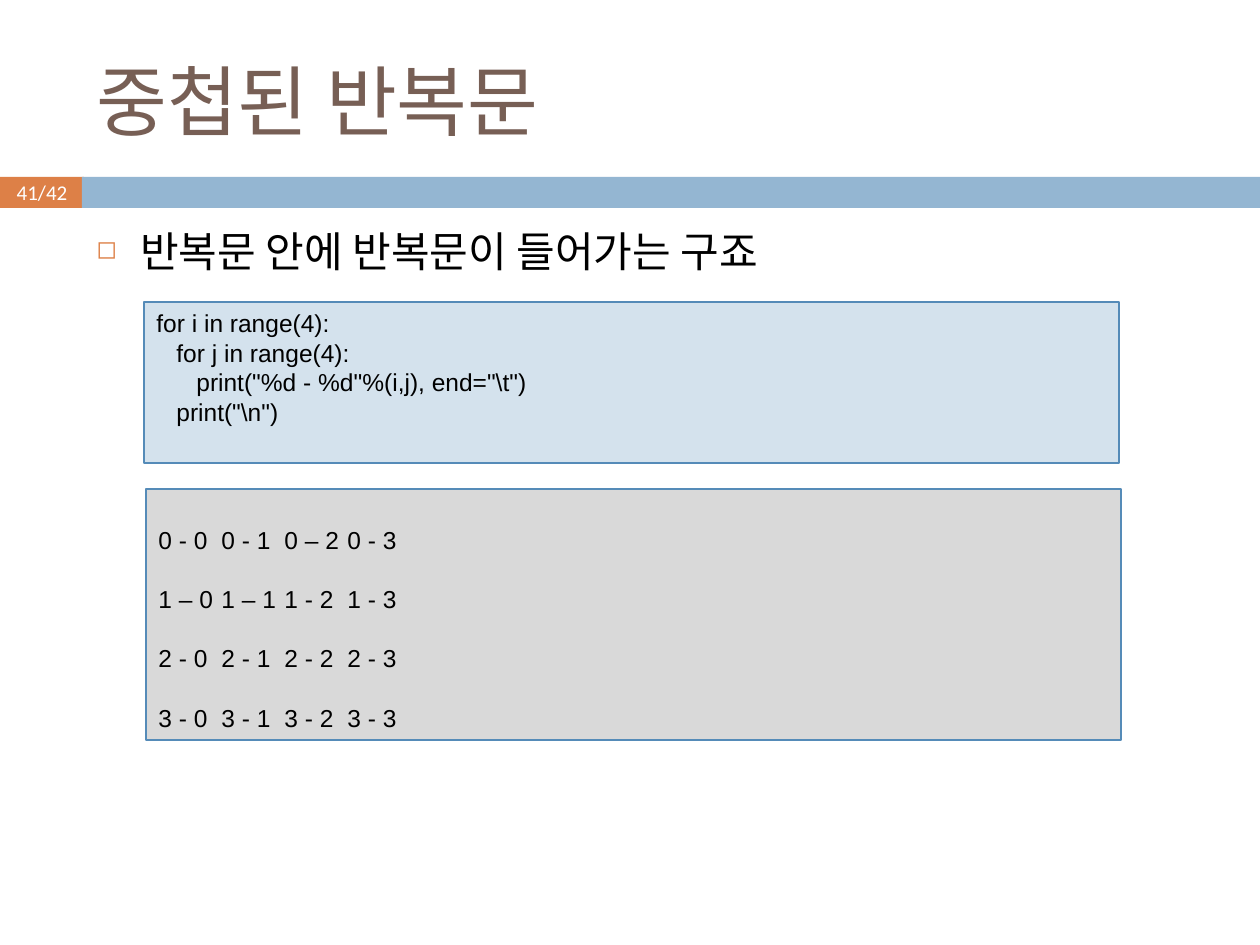
"""Build a slide on nested loops with a code box and its output."""
import pptx
import pptx.dml.color
import pptx.enum.shapes
import pptx.enum.text
import pptx.oxml.ns
import pptx.util
import lxml.etree

ALIGN = pptx.enum.text.PP_ALIGN
ANCHOR = pptx.enum.text.MSO_ANCHOR


def px(length):
    """Turn px into EMU at 126 px to the inch."""
    return pptx.util.Emu(round(length * 914400 / 126))


def color(code):
    """Turn a hex string into a colour."""
    return pptx.dml.color.RGBColor.from_string(code)


def add_xml(parent, tag, **attributes):
    """Append a drawing element and return it."""
    return lxml.etree.SubElement(parent, pptx.oxml.ns.qn(tag), attributes)


def write(paragraph, text, size=14, font="Arial", ink="000000", align=ALIGN.LEFT,
          leading=None, before=0, indent=0, hanging=0, bullet=None, tabs=()):
    """Write one formatted paragraph."""
    paragraph.alignment = align
    paragraph.space_before = pptx.util.Pt(before)
    if leading:
        paragraph.line_spacing = pptx.util.Pt(leading)
    properties = paragraph._p.get_or_add_pPr()
    properties.set("marL", str(px(indent)))
    properties.set("indent", str(-px(hanging)))
    if bullet:
        add_xml(add_xml(properties, "a:buClr"), "a:srgbClr", val="DD8047")
        add_xml(properties, "a:buSzPct", val="60000")
        add_xml(properties, "a:buChar", char=bullet)
    if tabs:
        stops = add_xml(properties, "a:tabLst")
        for stop in tabs:
            add_xml(stops, "a:tab", pos=str(px(stop)), algn="l")
    run = paragraph.add_run()
    run.text = text
    run.font.size = pptx.util.Pt(size)
    run.font.name = font
    run.font.color.rgb = color(ink)


class LessonSlide:
    """Hold the box style and the current slide."""

    outline = "558BB8"
    leading = 16.9

    def __init__(self, deck):
        """Add a blank slide to the deck."""
        self.slide = deck.slides.add_slide(deck.slide_layouts[6])

    def fill_frame(self, frame, lines, anchor, top_inset=6):
        """Put (text, format) lines into a text frame."""
        frame.word_wrap = True
        frame.vertical_anchor = anchor
        frame.margin_top = px(top_inset)
        for number, (text, style) in enumerate(lines):
            paragraph = frame.add_paragraph() if number else frame.paragraphs[0]
            write(paragraph, text, **style)

    def text(self, place, content, anchor=ANCHOR.TOP, **style):
        """Add a text box of one paragraph."""
        box = self.slide.shapes.add_textbox(*map(px, place))
        self.fill_frame(box.text_frame, [(content, style)], anchor)

    def panel(self, place, fill, lines=(), outline=None, anchor=ANCHOR.TOP, top_inset=6):
        """Add a filled rectangle with optional text and outline."""
        panel = self.slide.shapes.add_shape(
            pptx.enum.shapes.MSO_SHAPE.RECTANGLE, *map(px, place))
        panel.shadow.inherit = False
        panel.fill.solid()
        panel.fill.fore_color.rgb = color(fill)
        if outline:
            panel.line.color.rgb = color(outline)
            panel.line.width = pptx.util.Pt(0.75)
        else:
            panel.line.fill.background()
        self.fill_frame(panel.text_frame, lines, anchor, top_inset)

    def code(self, place, fill, lines):
        """Add a code panel from (depth, text) lines."""
        self.panel(place, fill, [(text, dict(leading=self.leading, indent=20 * depth))
                                 for depth, text in lines], self.outline)

    def output(self, place, fill, rows):
        """Add an output panel from (cells, tab stops) rows."""
        self.panel(place, fill, [
            ("\t".join(cells), dict(leading=self.leading, tabs=tabs,
                                    before=self.leading if number else 0))
            for number, (cells, tabs) in enumerate(rows)], self.outline, top_inset=36)


def main():
    """Build and save the deck."""
    deck = pptx.Presentation()
    deck.slide_width, deck.slide_height = px(1260), px(945)
    lesson = LessonSlide(deck)
    page_style = dict(size=12, font="Calibri", ink="FFFFFF", align=ALIGN.CENTER)
    lesson.panel((0, 177, 84, 31), "DD8047", [("41/42", page_style)], anchor=ANCHOR.MIDDLE)
    lesson.panel((82, 177, 1178, 31), "94B6D2")
    lesson.text((84, 32, 1124, 136), "중첩된 반복문", ANCHOR.MIDDLE,
                size=44, font="Calibri", ink="775F55")
    lesson.text((84, 220, 1124, 683), "반복문 안에 반복문이 들어가는 구죠",
                size=24, before=7, indent=44, hanging=44, bullet="◻")
    lesson.code((144, 302, 975, 161), "D4E2ED", [
        (0, "for i in range(4):"),
        (1, "for j in range(4):"),
        (2, 'print("%d - %d"%(i,j), end="\\t")'),
        (1, 'print("\\n")'),
    ])
    lesson.output((146, 489, 975, 251), "D9D9D9", [
        (("0 - 0", "0 - 1", "0 – 2", "0 - 3"), (64, 125, 199)),
        (("1 – 0", "1 – 1", "1 - 2", "1 - 3"), (62, 125, 181)),
        (("2 - 0", "2 - 1", "2 - 2", "2 - 3"), (64, 125, 188)),
        (("3 - 0", "3 - 1", "3 - 2", "3 - 3"), (64, 125, 188)),
    ])
    deck.save("out.pptx")


if __name__ == "__main__":
    main()
